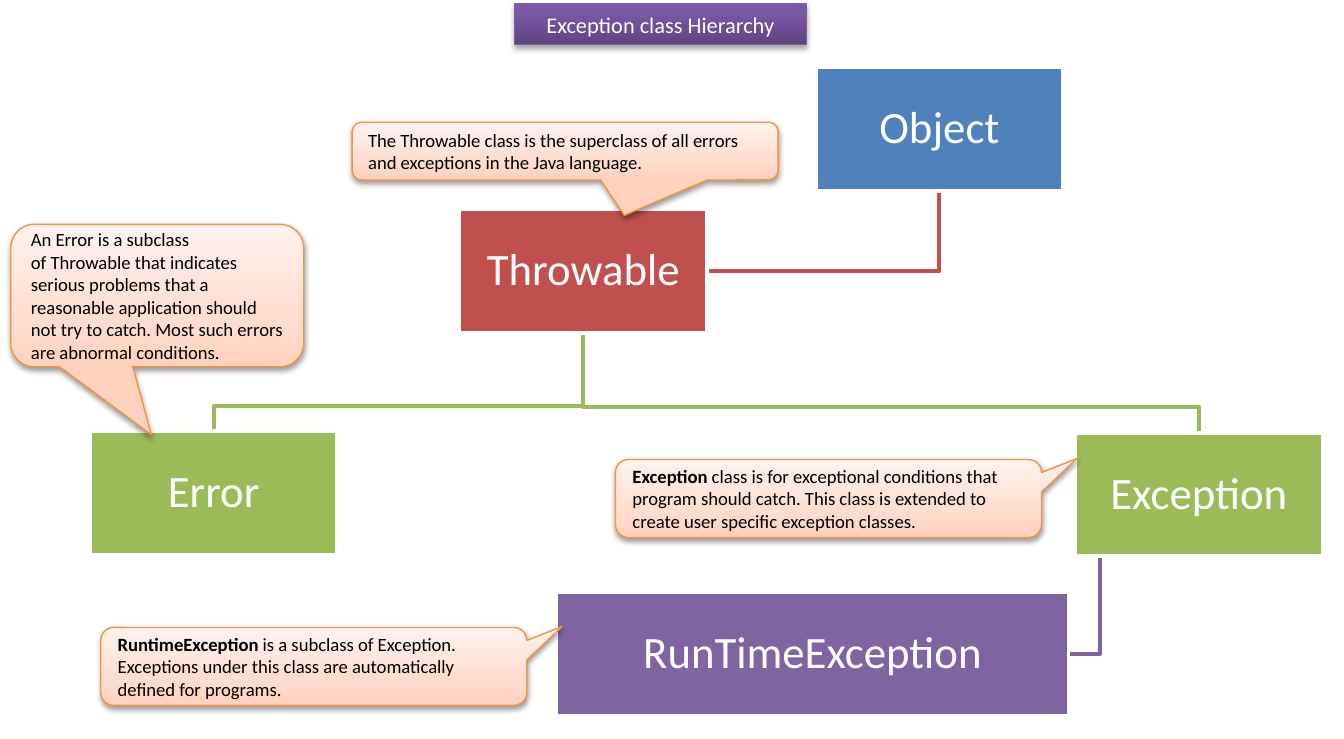
import pptx
import pptx.util
from lxml import etree
from pptx.dml.color import RGBColor
from pptx.enum.shapes import MSO_SHAPE
from pptx.enum.text import MSO_ANCHOR, MSO_AUTO_SIZE, PP_ALIGN
from pptx.oxml.ns import qn
from pptx.util import Inches

FONT = "Calibri"
NBSP = chr(160)  # no-break space
WHITE = RGBColor(0xFF, 0xFF, 0xFF)
BLACK = RGBColor(0x00, 0x00, 0x00)
BLUE = RGBColor(0x4F, 0x81, 0xBD)
RED = RGBColor(0xC0, 0x50, 0x4D)
GREEN = RGBColor(0x9B, 0xBB, 0x59)
PURPLE = RGBColor(0x80, 0x64, 0xA2)
TITLE_LINE = RGBColor(0x7D, 0x60, 0xA0)
CALLOUT_LINE = RGBColor(0xF6, 0x92, 0x40)
TITLE_STOPS = [
    (0, RGBColor(0x5F, 0x44, 0x80)),
    (80, RGBColor(0x7B, 0x58, 0xA6)),
    (100, RGBColor(0x7C, 0x57, 0xA8)),
]
CALLOUT_STOPS = [
    (0, RGBColor(0xFF, 0xD2, 0xBD)),
    (35, RGBColor(0xFF, 0xDE, 0xD0)),
    (100, RGBColor(0xFF, 0xF2, 0xED)),
]

BOX_WIDTH, BOX_HEIGHT = 1.84, 0.92
# Class name: left, top, width, colour
CLASSES = {
    "Object": (6.07, 0.5, BOX_WIDTH, BLUE),
    "Throwable": (3.42, 1.56, BOX_WIDTH, RED),
    "Exception": (8, 3.22, BOX_WIDTH, GREEN),
    "RunTimeException": (4.14, 4.41, 3.81, PURPLE),
    "Error": (0.67, 3.21, BOX_WIDTH, GREEN),
}
# Bounds, pointer tip as fractions from the centre, runs of (text, bold)
CALLOUTS = [
    ((2.62, 0.91, 3.17, 0.43), (0.139, 1.113), [
        (f"The{NBSP}Throwable{NBSP}class is the superclass of all errors and "
         "exceptions in the Java language.", False)]),
    ((4.58, 3.42, 3.17, 0.58), (0.583, -0.513), [
        ("Exception", True),
        (f"{NBSP}class is for exceptional conditions that program should catch. "
         "This class is extended to create user specific exception classes.", False)]),
    ((0.08, 1.67, 2.18, 1.06), (-0.02, 0.977), [
        (f"An{NBSP}Error{NBSP}is a subclass of{NBSP}Throwable{NBSP}that indicates "
         "serious problems that a reasonable application should not try to catch. "
         "Most such errors are abnormal conditions.", False)]),
    ((0.75, 4.67, 3.17, 0.58), (0.583, -0.513), [
        ("RuntimeException", True),
        (f"{NBSP}is a subclass of Exception. Exceptions under this class are "
         "automatically defined for programs.", False)]),
]


def write_text(shape, runs, size, color, align=PP_ALIGN.LEFT,
               anchor=MSO_ANCHOR.MIDDLE, margin=None, line_spacing=None):
    """Fill the shape with one paragraph made of (text, bold) runs."""
    frame = shape.text_frame
    frame.word_wrap = True
    frame.auto_size = MSO_AUTO_SIZE.NONE
    frame.vertical_anchor = anchor
    if margin is not None:
        frame.margin_left = frame.margin_right = Inches(margin)
        frame.margin_top = frame.margin_bottom = Inches(margin)
    paragraph = frame.paragraphs[0]
    paragraph.alignment = align
    if line_spacing:
        paragraph.line_spacing = line_spacing
    for text, bold in runs:
        run = paragraph.add_run()
        run.text = text
        run.font.name = FONT
        run.font.size = pptx.util.Pt(size)
        run.font.bold = bold
        run.font.color.rgb = color


def style_raised(shape, stops, line_color, shadow_opacity, shadow_distance):
    """Give the shape an upward gradient, a thin outline and a soft shadow."""
    shape.fill.gradient()
    shape.fill.gradient_angle = 90
    properties = shape._element.spPr
    stop_list = properties.find(qn("a:gradFill")).find(qn("a:gsLst"))
    for stop in list(stop_list):
        stop_list.remove(stop)
    for position, color in stops:
        stop = etree.SubElement(stop_list, qn("a:gs"), pos=str(position * 1000))
        etree.SubElement(stop, qn("a:srgbClr"), val=str(color))
    shape.line.color.rgb = line_color
    shape.line.width = pptx.util.Pt(0.75)

    shape.shadow.inherit = False
    shadow = etree.SubElement(
        properties.find(qn("a:effectLst")), qn("a:outerShdw"),
        blurRad=str(pptx.util.Pt(3.1)), dist=str(pptx.util.Pt(shadow_distance)),
        dir="5400000", rotWithShape="0")
    shadow_color = etree.SubElement(shadow, qn("a:srgbClr"), val=str(BLACK))
    etree.SubElement(shadow_color, qn("a:alpha"), val=str(shadow_opacity * 1000))


def add_title(slide):
    title = slide.shapes.title
    title.left, title.top = Inches(3.83), Inches(0.03)
    title.width, title.height = Inches(2.17), Inches(0.3)
    style_raised(title, TITLE_STOPS, TITLE_LINE, 35, 1.8)
    write_text(title, [("Exception class Hierarchy", False)], 12, WHITE,
               align=PP_ALIGN.CENTER, anchor=MSO_ANCHOR.TOP)


def box_point(name, across, down):
    """Return the point at the given fractions of a class box."""
    left, top, width, _ = CLASSES[name]
    return left + across * width, top + down * BOX_HEIGHT


def add_link(slide, points, color):
    start, *rest = [(Inches(x), Inches(y)) for x, y in points]
    builder = slide.shapes.build_freeform(*start)
    builder.add_line_segments(rest, close=False)
    link = builder.convert_to_shape()
    link.fill.background()
    link.line.color.rgb = color
    link.line.width = pptx.util.Pt(2)
    link.shadow.inherit = False


def add_side_link(slide, parent, child, across, color):
    """Go down from the parent's bottom edge, then left to the child's side."""
    start = box_point(parent, across, 1)
    end = box_point(child, 1, 0.5)
    add_link(slide, [start, (start[0], end[1]), end], color)


def add_branch_link(slide, parent, child, color):
    """Join the parent's bottom to the child's top over a horizontal run."""
    start = box_point(parent, 0.5, 1)
    end = box_point(child, 0.5, 0)
    turn = end[1] - 0.19
    add_link(slide, [start, (start[0], turn), (end[0], turn), end], color)


def add_class_box(slide, name):
    left, top, width, color = CLASSES[name]
    box = slide.shapes.add_shape(MSO_SHAPE.RECTANGLE, Inches(left), Inches(top),
                                 Inches(width), Inches(BOX_HEIGHT))
    box.fill.solid()
    box.fill.fore_color.rgb = color
    box.line.color.rgb = WHITE
    box.line.width = pptx.util.Pt(2)
    box.shadow.inherit = False
    write_text(box, [(name, False)], 24, WHITE, align=PP_ALIGN.CENTER,
               margin=0.02, line_spacing=0.9)


def add_callout(slide, bounds, tip, runs):
    callout = slide.shapes.add_shape(MSO_SHAPE.ROUNDED_RECTANGULAR_CALLOUT,
                                     *map(Inches, bounds))
    callout.adjustments[0], callout.adjustments[1] = tip
    style_raised(callout, CALLOUT_STOPS, CALLOUT_LINE, 38, 1.6)
    write_text(callout, runs, 10, BLACK)


def main():
    presentation = pptx.Presentation()
    presentation.slide_width = Inches(10)
    presentation.slide_height = Inches(5.5)
    slide = presentation.slides.add_slide(presentation.slide_layouts[5])

    add_title(slide)
    add_branch_link(slide, "Throwable", "Error", GREEN)
    add_side_link(slide, "Exception", "RunTimeException", 0.1, PURPLE)
    add_branch_link(slide, "Throwable", "Exception", GREEN)
    add_side_link(slide, "Object", "Throwable", 0.5, RED)
    for name in CLASSES:
        add_class_box(slide, name)
    for bounds, tip, runs in CALLOUTS:
        add_callout(slide, bounds, tip, runs)

    presentation.save("out.pptx")


if __name__ == "__main__":
    main()
